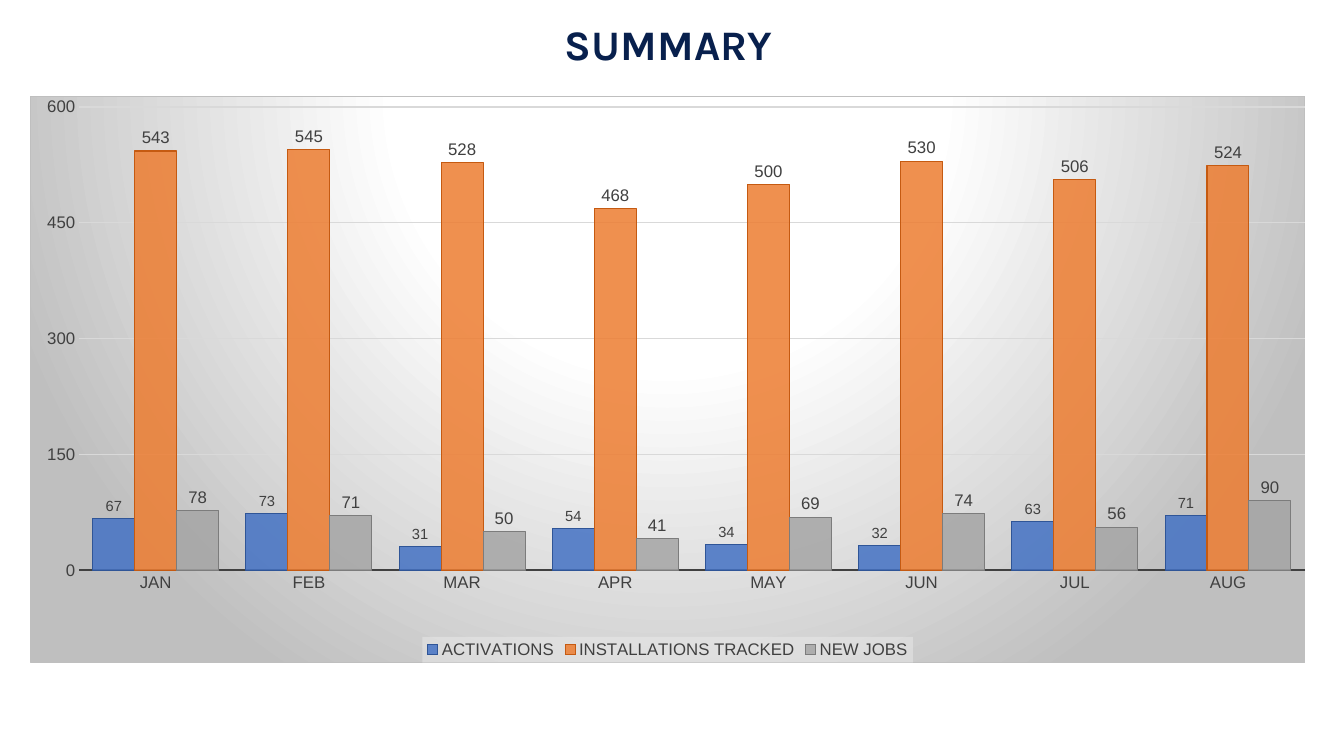
from pptx import Presentation
from pptx.chart.data import CategoryChartData as ChartData
from pptx.dml.color import RGBColor
from pptx.enum.chart import XL_CHART_TYPE as Kind
from pptx.enum.chart import XL_LABEL_POSITION as Spot
from pptx.enum.chart import XL_LEGEND_POSITION as Side
from pptx.enum.chart import XL_TICK_MARK as Tick
from pptx.enum.text import MSO_ANCHOR as Anchor
from pptx.enum.text import MSO_AUTO_SIZE as Fit
from pptx.enum.text import PP_ALIGN as Align
from pptx.oxml import parse_xml
from pptx.oxml.ns import nsdecls, qn
from pptx.util import Inches, Pt

WIDE, HIGH = Inches(13.33), Inches(7.5)
NAVY = RGBColor(0x08, 0x20, 0x4D)
BLACK = RGBColor(0, 0, 0)
WHITE = RGBColor(0xFF, 0xFF, 0xFF)
DARK = RGBColor(0x40, 0x40, 0x40)
SILVER = RGBColor(0xBF, 0xBF, 0xBF)
PALE = RGBColor(0xD9, 0xD9, 0xD9)
MIST = RGBColor(0xF2, 0xF2, 0xF2)
BLUE, BLUE_EDGE = RGBColor(0x44, 0x72, 0xC4), RGBColor(0x2F, 0x55, 0x97)
ORANGE, ORANGE_EDGE = RGBColor(0xED, 0x7D, 0x31), RGBColor(0xC5, 0x5A, 0x11)
GREY, GREY_EDGE = RGBColor(0xA5, 0xA5, 0xA5), RGBColor(0x7C, 0x7C, 0x7C)

MONTHS = ["JAN", "FEB", "MAR", "APR", "MAY", "JUN", "JUL", "AUG"]
# name, values, fill, edge, label size
SERIES = [
    ("ACTIVATIONS", (67, 73, 31, 54, 34, 32, 63, 71), BLUE, BLUE_EDGE, 10.5),
    ("INSTALLATIONS TRACKED", (543, 545, 528, 468, 500, 530, 506, 524),
     ORANGE, ORANGE_EDGE, 12),
    ("NEW JOBS", (78, 71, 50, 41, 69, 74, 56, 90), GREY, GREY_EDGE, 12),
]


def set_font(font, size, color, face="Arial", bold=False):
    font.name, font.size, font.bold = face, Pt(size), bold
    font.color.rgb = color


def set_line(line, color, width):
    line.color.rgb = color
    line.width = Pt(width)


def add_title(slide, text):
    title = slide.shapes.title
    title.left, title.top = Inches(5.53), Inches(0.16)
    title.width, title.height = Inches(2.2), Inches(0.55)
    frame = title.text_frame
    frame.margin_left = frame.margin_right = Inches(0.02)
    frame.margin_top = frame.margin_bottom = Inches(0.02)
    frame.word_wrap = False
    frame.auto_size = Fit.SHAPE_TO_FIT_TEXT
    frame.vertical_anchor = Anchor.TOP
    par = frame.paragraphs[0]
    par.alignment = Align.CENTER
    par.line_spacing = 1.0
    run = par.add_run()
    run.text = text
    set_font(run.font, 30, NAVY, "Karla", True)


def style_axes(chart):
    months, count = chart.category_axis, chart.value_axis
    for axis in (months, count):
        axis.major_tick_mark = axis.minor_tick_mark = Tick.NONE
        set_font(axis.tick_labels.font, 12, DARK)
    months.has_major_gridlines = False
    set_line(months.format.line, DARK, 1.5)
    count.minimum_scale, count.maximum_scale = 0, 600
    count.major_unit = 150
    count.format.line.fill.background()
    set_line(count.major_gridlines.format.line, PALE, 0.75)
    count.tick_labels.number_format = "0.#"
    count.tick_labels.number_format_is_linked = False


def style_bars(chart):
    plot = chart.plots[0]
    plot.gap_width, plot.overlap = 65, 0
    plot.vary_by_categories = False
    for bars, (_, _, color, edge, size) in zip(plot.series, SERIES):
        bars.invert_if_negative = False
        fill = bars.format.fill
        fill.solid()
        fill.fore_color.rgb = color
        tint = next(bars.format.fill._xPr.iter(qn("a:srgbClr")))
        tint.append(parse_xml(f'<a:alpha {nsdecls("a")} val="85000"/>'))
        set_line(bars.format.line, edge, 0.75)
        tags = bars.data_labels
        tags.show_value = True
        tags.number_format, tags.number_format_is_linked = "0", False
        tags.position = Spot.OUTSIDE_END
        set_font(tags.font, size, DARK)


def add_legend(chart):
    chart.has_legend = True
    legend = chart.legend
    legend.position = Side.BOTTOM
    legend.include_in_layout = False
    set_font(legend.font, 12, DARK)
    legend._element.find(qn("c:overlay")).addnext(parse_xml(
        f'<c:spPr {nsdecls("c", "a")}><a:solidFill><a:srgbClr val="{MIST}">'
        '<a:alpha val="39000"/></a:srgbClr></a:solidFill></c:spPr>'))


def set_plot(chart, x, y, w, h):
    """Fix the inner plot area, in shares of the chart's size."""
    area = chart._chartSpace.chart.plotArea
    for old in area.findall(qn("c:layout")):
        area.remove(old)
    parts = "".join(f'<c:{key} val="{val}"/>' for key, val in (
        ("layoutTarget", "inner"), ("xMode", "edge"), ("yMode", "edge"),
        ("x", x), ("y", y), ("w", w), ("h", h)))
    area.insert(0, parse_xml(
        f'<c:layout {nsdecls("c")}><c:manualLayout>{parts}'
        '</c:manualLayout></c:layout>'))


def set_back(chart):
    """Give the chart a radial gradient and a thin border."""
    stops = "".join(
        f'<a:gs pos="{at * 1000}"><a:srgbClr val="{color}"/></a:gs>'
        for at, color in ((0, WHITE), (39, WHITE), (100, SILVER)))
    chart._chartSpace.chart.addnext(parse_xml(
        f'<c:spPr {nsdecls("c", "a")}><a:gradFill><a:gsLst>{stops}</a:gsLst>'
        '<a:path path="circle"><a:fillToRect l="50000" t="-80000" r="50000" '
        f'b="180000"/></a:path></a:gradFill><a:ln w="{Pt(0.75)}"><a:solidFill>'
        f'<a:srgbClr val="{SILVER}"/></a:solidFill></a:ln></c:spPr>'))


def add_bars(slide):
    data = ChartData()
    data.categories = MONTHS
    for name, vals, *_ in SERIES:
        data.add_series(name, vals)
    chart = slide.shapes.add_chart(
        Kind.COLUMN_CLUSTERED, Inches(0.3), Inches(0.95),
        Inches(12.65), Inches(5.63), data).chart
    chart.has_title = False
    set_font(chart.font, 10, BLACK)
    style_axes(chart)
    style_bars(chart)
    add_legend(chart)
    set_plot(chart, 0.038, 0.019, 0.962, 0.818)
    set_back(chart)


def main():
    deck = Presentation()
    deck.slide_width, deck.slide_height = WIDE, HIGH
    slide = deck.slides.add_slide(deck.slide_layouts[5])
    add_bars(slide)
    add_title(slide, "SUMMARY")
    deck.save("out.pptx")


if __name__ == "__main__":
    main()
